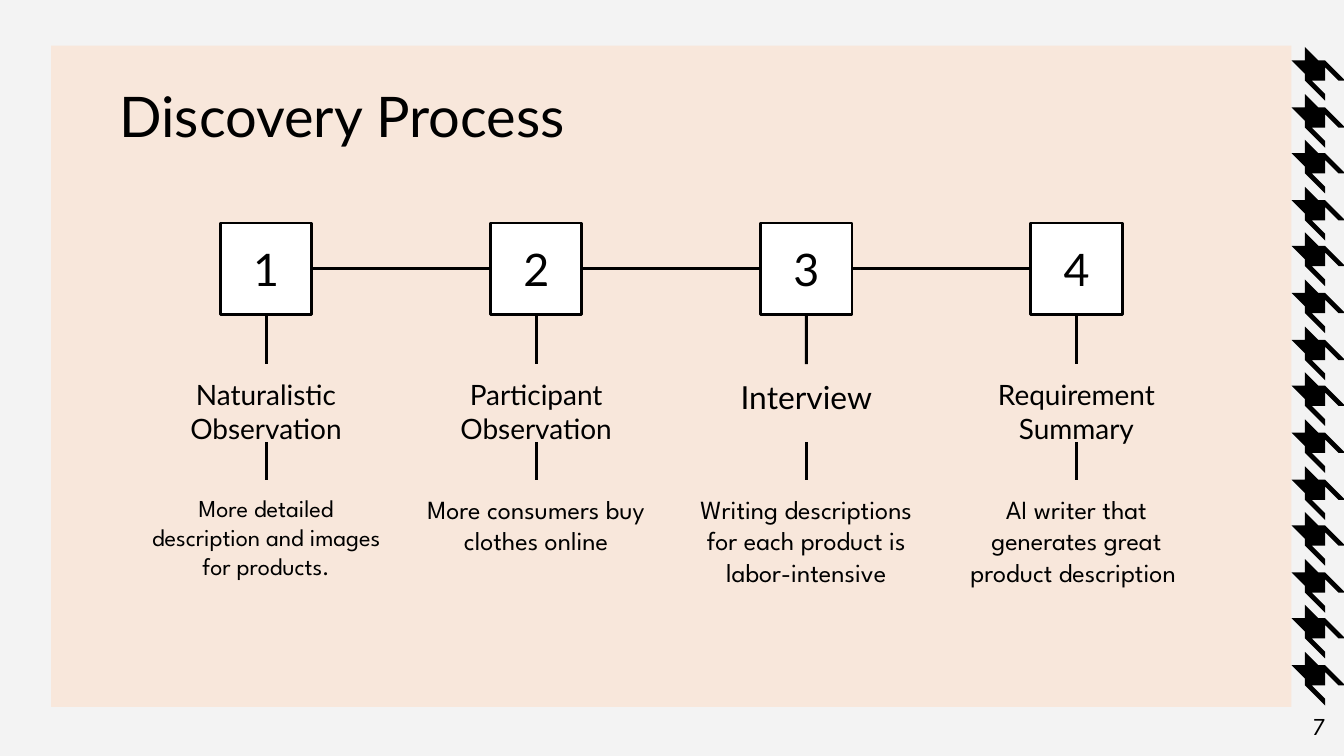
from pptx import Presentation
from pptx.dml.color import RGBColor
from pptx.enum.shapes import MSO_CONNECTOR, MSO_SHAPE
from pptx.enum.text import MSO_ANCHOR, PP_ALIGN
from pptx.oxml.ns import qn
from pptx.util import Inches, Pt
from lxml import etree

RECT = MSO_SHAPE.RECTANGLE
STRAIGHT = MSO_CONNECTOR.STRAIGHT
TOP, MIDDLE = MSO_ANCHOR.TOP, MSO_ANCHOR.MIDDLE
LEFT, CENTER, RIGHT = PP_ALIGN.LEFT, PP_ALIGN.CENTER, PP_ALIGN.RIGHT
HEAD, BODY = "Lato", "League Spartan"
BLACK, WHITE, PEACH, GRAY = "000000", "FFFFFF", "F8E7DB", "F3F3F3"

# Heading, heading size, body, body size, body height; \v breaks a line
STEPS = [
    ("Naturalistic Observation", 15,
     "More detailed description and images for products.", 13, 1.14),
    ("Participant\vObservation", 15,
     "More consumers buy clothes online", 14, 0.62),
    ("Interview", 17,
     "Writing descriptions for each product is labor-intensive", 14, 1.2),
    ("Requirement\nSummary", 15,
     "AI writer that generates great product description ", 14, 0.62),
]
STEP_GAP = 2.01

# Outline of one houndstooth tile, in hundredths of an inch
TOOTH = [(10, 0), (20, 10), (25, 10), (40, 25), (35, 25), (25, 15), (25, 25),
         (15, 25), (25, 35), (25, 40), (10, 25), (10, 20), (0, 10), (10, 10)]
TEETH = 14


def paint(fill, color):
    fill.solid()
    fill.fore_color.rgb = RGBColor.from_string(color)


def add_box(slide, x, y, w, h, color, line=None):
    box = slide.shapes.add_shape(RECT, Inches(x), Inches(y), Inches(w), Inches(h))
    box.shadow.inherit = False
    paint(box.fill, color)
    if line:
        paint(box.line.fill, line)
        box.line.width = Pt(1.5)
    else:
        box.line.fill.background()
    return box


def add_text(slide, x, y, w, h, text, font, size, align=CENTER, anchor=TOP, after=0):
    box = slide.shapes.add_textbox(Inches(x), Inches(y), Inches(w), Inches(h))
    frame = box.text_frame
    frame.word_wrap = True
    frame.vertical_anchor = anchor
    frame.margin_left = frame.margin_right = Inches(0.1)
    frame.margin_top = frame.margin_bottom = Inches(0.1)
    frame.text = text
    for para in frame.paragraphs:
        para.alignment = align
        para.space_after = Pt(after)
        para.font.name = font
        para.font.size = Pt(size)
        para.font.color.rgb = RGBColor.from_string(BLACK)
    return box


def join(slide, start, side, end, other):
    line = slide.shapes.add_connector(STRAIGHT, 0, 0, 0, 0)
    line.begin_connect(start, side)
    line.end_connect(end, other)
    paint(line.line.fill, BLACK)
    line.line.width = Pt(1.5)
    etree.SubElement(line._element.spPr, qn("a:effectLst"))


def add_tooth(slide, x, y):
    points = [(x * 100 + dx, y * 100 + dy) for dx, dy in TOOTH]
    pen = slide.shapes.build_freeform(*points[0], scale=Inches(0.01))
    pen.add_line_segments(points[1:], close=True)
    tooth = pen.convert_to_shape()
    tooth.shadow.inherit = False
    paint(tooth.fill, BLACK)
    tooth.line.fill.background()


def add_step(slide, index, step):
    title, title_size, body, body_size, height = step
    x = 1 + index * STEP_GAP
    box = add_box(slide, x + 0.64, 1.66, 0.68, 0.68, WHITE, BLACK)
    add_text(slide, x + 0.71, 1.71, 0.54, 0.58, str(index + 1), HEAD, 24, anchor=MIDDLE)
    head = add_text(slide, x, 2.71, 1.96, 0.58, title, HEAD, title_size)
    note = add_text(slide, x, 3.57, 1.96, height, body, BODY, body_size, after=16)
    join(slide, box, 2, head, 0)
    join(slide, head, 2, note, 0)
    return box


def main():
    deck = Presentation()
    deck.slide_width, deck.slide_height = Inches(10), Inches(10 * 9 / 16)
    slide = deck.slides.add_slide(deck.slide_layouts[6])
    paint(slide.background.fill, GRAY)

    # Panel and houndstooth edge
    add_box(slide, 0.38, 0.34, 9.23, 4.92, PEACH)
    for row in range(TEETH):
        add_tooth(slide, 9.61, 0.35 + row * 4.5 / (TEETH - 1))

    # Title
    add_text(slide, 0.79, 0.59, 7.91, 0.53, "Discovery Process", HEAD, 30, LEFT, MIDDLE)

    # Steps, joined from left to right
    boxes = [add_step(slide, index, step) for index, step in enumerate(STEPS)]
    for box, after in zip(boxes, boxes[1:]):
        join(slide, box, 3, after, 1)

    # Page number
    add_text(slide, 9.36, 5.19, 0.6, 0.43, "7", BODY, 13, RIGHT)
    deck.save("out.pptx")


if __name__ == "__main__":
    main()
